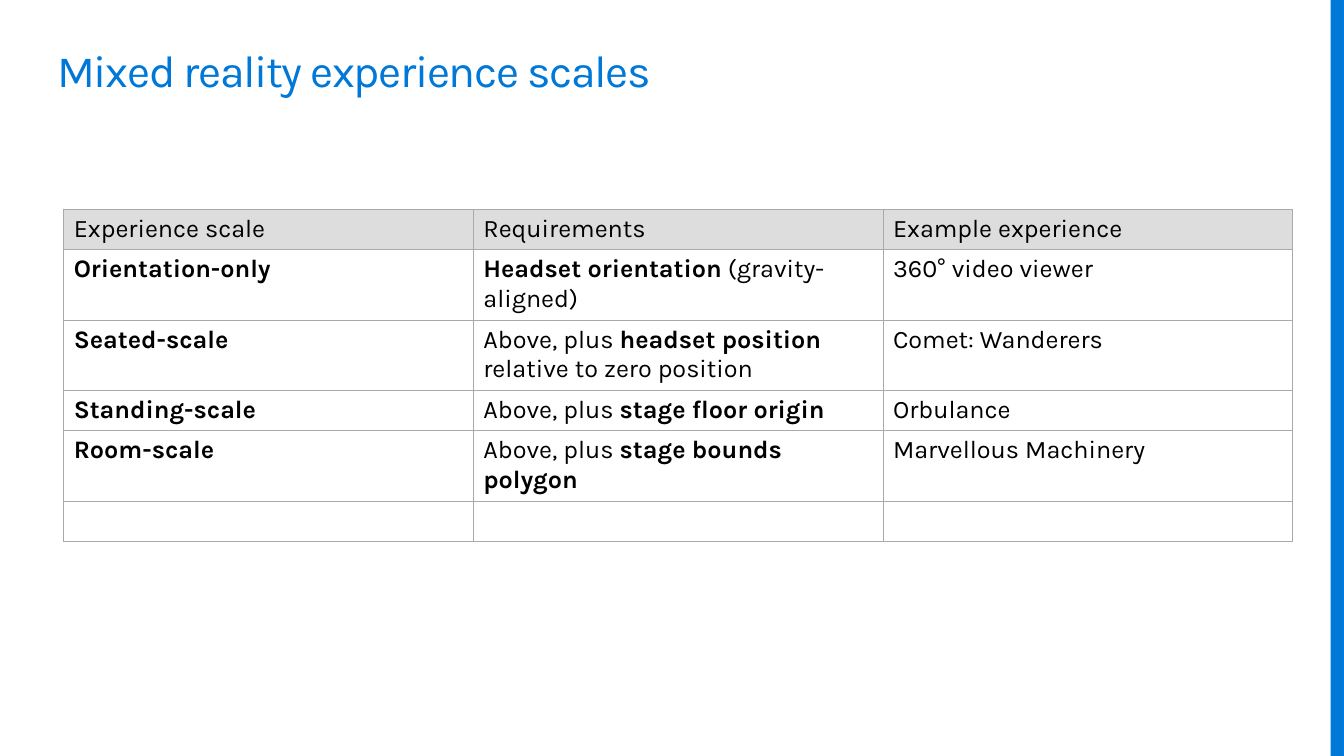
from lxml import etree
from pptx import Presentation
from pptx.dml.color import RGBColor
from pptx.enum.shapes import MSO_SHAPE
from pptx.enum.text import MSO_ANCHOR
from pptx.oxml.ns import qn
from pptx.util import Pt

RECT = MSO_SHAPE.RECTANGLE
TOP = MSO_ANCHOR.TOP
FONT = "Karla"
BLUE = "0078D7"
BLACK = "000000"
WHITE = "FFFFFF"
GREY = "DDDDDD"
EDGE = "AAAAAA"
LOW, HIGH = 28.4, 49.5

HEADS = ["Experience scale", "Requirements", "Example experience"]
SCALES = [
    ("Orientation-only",
     [("Headset orientation", True), (" (gravity-aligned)", False)],
     "360° video viewer", HIGH),
    ("Seated-scale",
     [("Above, plus ", False), ("headset position", True),
      (" relative to zero position", False)],
     "Comet: Wanderers", HIGH),
    ("Standing-scale",
     [("Above, plus ", False), ("stage floor origin", True)],
     "Orbulance", LOW),
    ("Room-scale",
     [("Above, plus ", False), ("stage bounds polygon", True)],
     "Marvellous Machinery", HIGH),
]


def color(code):
    """Turn a hex string into a colour."""
    return RGBColor.from_string(code)


def paint(item, code):
    """Give a shape or cell a solid fill."""
    item.fill.solid()
    item.fill.fore_color.rgb = color(code)


def style(run, size, code, bold=False):
    """Set the font of one run."""
    font = run.font
    font.name, font.size, font.bold = FONT, Pt(size), bold
    font.color.rgb = color(code)


def add_bar(slide):
    """Draw the blue bar along the right edge."""
    bar = slide.shapes.add_shape(RECT, Pt(950.4), 0, Pt(9.6), Pt(540))
    bar.shadow.inherit = False
    paint(bar, BLUE)
    bar.line.fill.background()


def add_title(slide, text):
    """Write the slide title."""
    box = slide.shapes.add_textbox(Pt(41), Pt(31), Pt(878), Pt(44))
    frame = box.text_frame
    frame.word_wrap = True
    frame.vertical_anchor = TOP
    frame.margin_left = frame.margin_right = 0
    frame.text = text
    line = frame.paragraphs[0]
    line.line_spacing = 0.9
    run = line.runs[0]
    style(run, 32, BLUE)
    run.font._element.set("spc", "-100")


def add_edges(cell):
    """Put a thin grey border on all sides of a cell."""
    props = cell._tc.get_or_add_tcPr()
    for place, side in enumerate(("a:lnL", "a:lnR", "a:lnT", "a:lnB")):
        line = etree.Element(qn(side), w=str(Pt(0.5)))
        fill = etree.SubElement(line, qn("a:solidFill"))
        etree.SubElement(fill, qn("a:srgbClr"), val=EDGE)
        props.insert(place, line)


def fill_cell(cell, parts, back):
    """Write the text parts into a cell and colour it."""
    paint(cell, back)
    add_edges(cell)
    line = cell.text_frame.paragraphs[0]
    for text, bold in parts:
        run = line.add_run()
        run.text = text
        style(run, 18, BLACK, bold)


def add_grid(slide):
    """Build the table of experience scales."""
    rows = [([[(head, False)] for head in HEADS], LOW, GREY)]
    for scale, needs, sample, high in SCALES:
        rows.append(([[(scale, True)], needs, [(sample, False)]], high, WHITE))
    rows.append(([[], [], []], LOW, WHITE))
    total = sum(high for _, high, _ in rows)
    frame = slide.shapes.add_table(len(rows), len(HEADS), Pt(45.5), Pt(149.2),
                                   Pt(877.8), Pt(total))
    table = frame.table
    for col in table.columns:
        col.width = Pt(292.6)
    for row, (cells, high, back) in zip(table.rows, rows):
        row.height = Pt(high)
        for cell, parts in zip(row.cells, cells):
            fill_cell(cell, parts, back)


def main():
    """Build and save the slide."""
    deck = Presentation()
    deck.slide_width, deck.slide_height = Pt(960), Pt(540)
    slide = deck.slides.add_slide(deck.slide_layouts[6])
    add_bar(slide)
    add_title(slide, "Mixed reality experience scales")
    add_grid(slide)
    deck.save("out.pptx")


if __name__ == "__main__":
    main()
